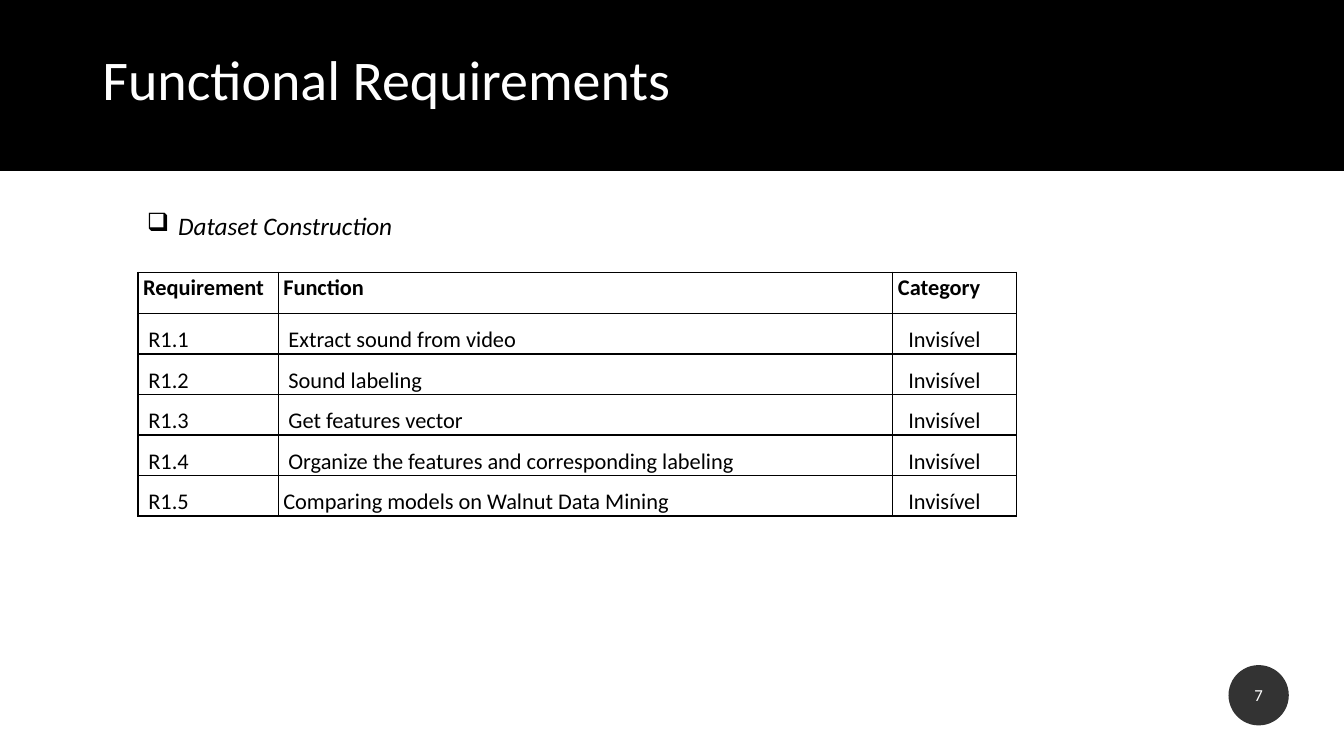
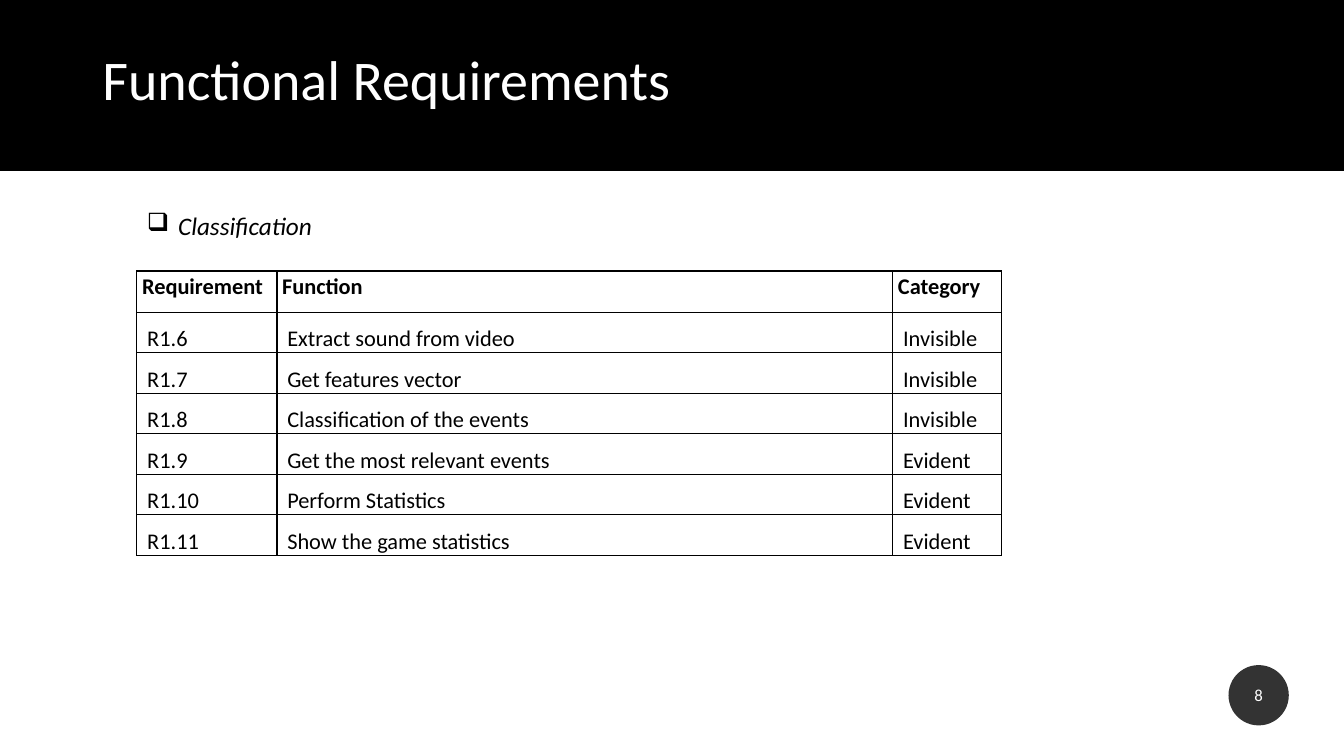
from lxml import etree
from pptx import Presentation
from pptx.dml.color import RGBColor
from pptx.enum.shapes import MSO_SHAPE
from pptx.enum.text import MSO_ANCHOR, PP_ALIGN
from pptx.oxml.ns import qn
from pptx.util import Cm, Pt

RECT, OVAL = MSO_SHAPE.RECTANGLE, MSO_SHAPE.OVAL
TOP, MID, LOW = MSO_ANCHOR.TOP, MSO_ANCHOR.MIDDLE, MSO_ANCHOR.BOTTOM
LEFT, MIDST = PP_ALIGN.LEFT, PP_ALIGN.CENTER
HUES = {"ink": "000000", "paper": "FFFFFF"}
FONT = "Calibri"
PAD = 0.13
HEAD = ["Requirement", "Function", "Category"]

pages = [
    {
        "page": 7,
        "topic": "Dataset Construction",
        "spot": (3.48, 6.86),
        "cols": [3.53, 15.49, 3.12],
        "steps": [1, 1, 2],
        "flush": "R1.5",
        "rows": [
            ("R1.1", "Extract sound from video", "Invisível"),
            ("R1.2", "Sound labeling", "Invisível"),
            ("R1.3", "Get features vector", "Invisível"),
            ("R1.4", "Organize the features and corresponding labeling", "Invisível"),
            ("R1.5", "Comparing models on Walnut Data Mining", "Invisível"),
        ],
    },
    {
        "page": 8,
        "topic": "Classification",
        "spot": (3.45, 6.83),
        "cols": [3.53, 15.52, 2.74],
        "steps": [1, 1, 1],
        "flush": None,
        "rows": [
            ("R1.6", "Extract sound from video", "Invisible"),
            ("R1.7", "Get features vector", "Invisible"),
            ("R1.8", "Classification of the events", "Invisible"),
            ("R1.9", "Get the most relevant events", "Evident"),
            ("R1.10", "Perform Statistics", "Evident"),
            ("R1.11", "Show the game statistics", "Evident"),
        ],
    },
]


def write(frame, text, size=16, hue="ink", bold=False, slant=False,
          align=LEFT, anchor=TOP, lead=1.0, after=0):
    frame.word_wrap = True
    frame.vertical_anchor = anchor
    para = frame.paragraphs[0]
    para.alignment = align
    para.line_spacing = lead
    para.space_after = Pt(after)
    run = para.add_run()
    run.text = text
    font = run.font
    font.name, font.size = FONT, Pt(size)
    font.bold, font.italic = bold, slant
    font.color.rgb = RGBColor.from_string(HUES[hue])
    return para


def frame_cell(cell):
    props = cell._tc.get_or_add_tcPr()
    for rank, side in enumerate(("lnL", "lnR", "lnT", "lnB")):
        line = etree.Element(qn("a:" + side), w=str(Pt(1)))
        fill = etree.SubElement(line, qn("a:solidFill"))
        etree.SubElement(fill, qn("a:srgbClr"), val=HUES["ink"])
        props.insert(rank, line)


deck = Presentation()
deck.slide_width, deck.slide_height = Cm(33.87), Cm(19.05)
black = RGBColor.from_string(HUES["ink"])

for page in pages:
    slide = deck.slides.add_slide(deck.slide_layouts[6])
    shapes = slide.shapes

    band = shapes.add_shape(RECT, 0, 0, deck.slide_width, Cm(4.3))
    band.shadow.inherit = False
    band.fill.solid()
    band.fill.fore_color.rgb = black
    band.line.color.rgb = black
    band.line.width = Pt(1)

    title = shapes.add_textbox(Cm(2.33), Cm(1.02), Cm(29.21), Cm(2.1))
    write(title.text_frame, "Functional Requirements", size=40, hue="paper",
          anchor=MID, lead=0.9)

    rows = [HEAD] + page["rows"]
    left, top = page["spot"]
    wide = sum(page["cols"])
    table = shapes.add_table(len(rows), len(HEAD), Cm(left), Cm(top),
                             Cm(wide), Cm(1.02 * len(rows))).table
    table.first_row = table.horz_banding = False
    for col, width in zip(table.columns, page["cols"]):
        col.width = Cm(width)
    for r, row in enumerate(rows):
        first = r == 0
        table.rows[r].height = Cm(1.04 if first else 1.02)
        for c, text in enumerate(row):
            cell = table.cell(r, c)
            flush = first or (c == 1 and row[0] == page["flush"])
            step = 0 if flush else page["steps"][c]
            cell.margin_left = Cm(PAD * (1 + step))
            cell.margin_right = Cm(PAD)
            cell.margin_top = cell.margin_bottom = 0
            cell.fill.background()
            write(cell.text_frame, text, bold=first, lead=1.07, after=8)
            cell.vertical_anchor = TOP if first else LOW
            frame_cell(cell)

    topic = shapes.add_textbox(Cm(3.45), Cm(5.18), Cm(27.69), Cm(1.03))
    props = write(topic.text_frame, page["topic"], size=18,
                  slant=True)._p.get_or_add_pPr()
    props.set("marL", str(Cm(0.79)))
    props.set("indent", str(-Cm(0.79)))
    etree.SubElement(props, qn("a:buChar"), char="❑")

    disc = shapes.add_shape(OVAL, Cm(30.96), Cm(16.76), Cm(1.52), Cm(1.52))
    disc.shadow.inherit = False
    disc.fill.solid()
    disc.fill.fore_color.rgb = black
    disc.line.fill.background()
    tint = disc._element.spPr.find(".//" + qn("a:srgbClr"))
    etree.SubElement(tint, qn("a:alpha"), val="80000")
    write(disc.text_frame, str(page["page"]), size=12, hue="paper",
          align=MIDST, anchor=MID)

deck.save("out.pptx")
